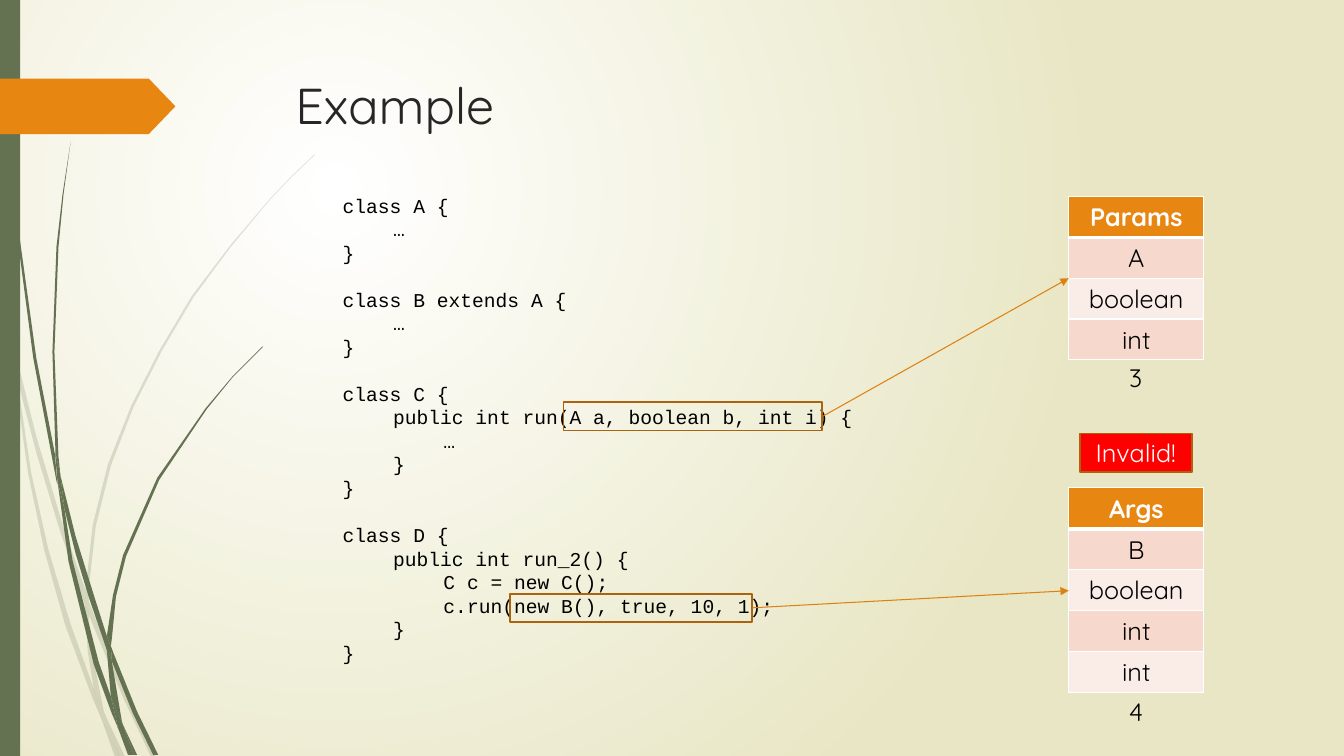
import lxml.etree
import pptx
import pptx.dml.color
import pptx.enum.shapes
import pptx.enum.text
import pptx.oxml.ns
import pptx.util

Inches, Pt = pptx.util.Inches, pptx.util.Pt
qn = pptx.oxml.ns.qn
RECTANGLE = pptx.enum.shapes.MSO_SHAPE.RECTANGLE
CENTER = pptx.enum.text.PP_ALIGN.CENTER

GREEN, ORANGE, BROWN, RED = "647252", "E78712", "AB640D", "FF0000"
WHITE, BLACK = "FFFFFF", "000000"
BANDS = ["F6D9CC", "FAEDE7"]
CODE_LINE = 16.8

PALE_GRASS = [
    [(0.11, 3.5), (0.09, 3.22), (0, 2.82), (0, 2.99), (0.1, 3.44)],
    [(0.58, 5.22), (0.84, 5.99), (0.85, 5.86), (0.62, 5.2), (0.36, 4.33), (0.14, 3.45),
     (0.17, 3.76), (0.36, 4.49)],
    [(0.92, 6.07), (0.88, 5.96), (0.88, 6.1), (1.23, 6.94), (1.5, 7.51), (1.55, 7.51), (1.27, 6.92)],
    [(1.19, 7.51), (1.24, 7.51), (1.05, 7.11)],
    [(0.93, 6.83), (0.7, 6.19), (0.48, 5.45), (0.31, 4.69), (0.17, 3.76), (0.11, 3.5), (0.28, 4.7),
     (0.44, 5.46), (0.65, 6.21), (0.92, 6.93), (1.01, 7.14), (0.99, 7.07)],
    [(0.84, 5.99), (0.87, 6.46), (0.93, 6.83), (0.96, 6.92), (1.05, 7.11), (1.03, 7.06),
     (0.91, 6.46), (0.88, 6.1), (0.88, 6.08)],
    [(0.88, 5.84), (0.95, 5.22), (1.1, 4.62), (1.32, 4.05), (1.6, 3.49), (1.92, 2.95), (2.29, 2.45),
     (2.68, 1.98), (2.9, 1.75), (3.12, 1.54), (3.12, 1.53), (2.89, 1.75), (2.68, 1.97),
     (2.28, 2.44), (1.9, 2.94), (1.58, 3.48), (1.3, 4.03), (1.07, 4.61), (0.92, 5.21),
     (0.85, 5.84), (0.85, 5.86), (0.88, 5.96)],
    [(1.01, 7.14), (1.14, 7.51), (1.19, 7.51)],
    [(0.88, 6.08), (0.88, 6.1), (0.88, 5.96), (0.85, 5.86), (0.84, 5.99)],
    [(0.96, 6.92), (0.93, 6.83), (0.99, 7.07), (1.01, 7.14), (1.19, 7.51), (1.05, 7.11)],
]
DARK_GRASS = [
    [(0.07, 1.1), (0.17, 2.33), (0.33, 3.55), (0.56, 4.77), (0.57, 4.81), (0.55, 4.57), (0.55, 4.53),
     (0.36, 3.55), (0.19, 2.32), (0.08, 1.09), (0.05, 0.48), (0.04, 0), (0.03, 0), (0.04, 0.48)],
    [(0.88, 5.92), (1.06, 6.45), (1.06, 6.33), (1.06, 6.31), (0.93, 5.9), (0.75, 5.32), (0.6, 4.72),
     (0.64, 5.05), (0.75, 5.49)],
    [(1.13, 6.49), (1.1, 6.41), (1.11, 6.56), (1.32, 7.08), (1.52, 7.49), (1.57, 7.49), (1.36, 7.06)],
    [(1.1, 6.91), (0.98, 6.57), (0.72, 5.56), (0.64, 5.05), (0.57, 4.77), (0.68, 5.57), (0.93, 6.59),
     (1.11, 7.08), (1.17, 7.22), (1.16, 7.17)],
    [(0.6, 4.72), (0.58, 4.53), (0.54, 3.49), (0.58, 2.45), (0.63, 1.93), (0.7, 1.41), (0.62, 1.93),
     (0.56, 2.45), (0.52, 3.49), (0.55, 4.49)],
    [(1.33, 7.49), (1.36, 7.49), (1.22, 7.19)],
    [(0.57, 4.77), (0.64, 5.05), (0.6, 4.72), (0.55, 4.49), (0.55, 4.53)],
    [(1.11, 6.33), (1.15, 5.92), (1.25, 5.52), (1.58, 4.76), (2.05, 4.06), (2.31, 3.74), (2.61, 3.44),
     (2.6, 3.44), (2.31, 3.73), (2.04, 4.05), (1.56, 4.74), (1.22, 5.51), (1.12, 5.91),
     (1.06, 6.31), (1.1, 6.41)],
    [(1.17, 7.22), (1.27, 7.49), (1.31, 7.49)],
    [(1.06, 6.45), (1.1, 6.91), (1.16, 7.06), (1.22, 7.19), (1.21, 7.16), (1.11, 6.56), (1.09, 6.51)],
    [(1.06, 6.45), (1.09, 6.51), (1.11, 6.56), (1.1, 6.41), (1.06, 6.31), (1.06, 6.33)],
    [(1.16, 7.06), (1.1, 6.91), (1.16, 7.17), (1.17, 7.22), (1.3, 7.49), (1.33, 7.49), (1.22, 7.19)],
]
CODE_BLOCKS = [
    ["class A {", "\t…", "}"],
    ["class B extends A {", "\t…", "}"],
    ["class C {", "\tpublic int run(A a, boolean b, int i) {", "\t\t…", "\t}", "}"],
    ["class D {", "\tpublic int run_2() {", "\t\tC c = new C();",
     "\t\tc.run(new B(), true, 10, 1);", "\t}", "}"],
]


def color(value):
    """Turn a hex string into a colour."""
    return pptx.dml.color.RGBColor.from_string(value)


def add_xml(parent, tag, **attributes):
    """Append a drawing element and return it."""
    return lxml.etree.SubElement(parent, qn(tag), attributes)


def write(frame, text, size, value=BLACK, font="Quicksand", bold=False, align=None):
    """Put formatted text into a text frame."""
    frame.text = text
    for paragraph in frame.paragraphs:
        paragraph.alignment = align
        for run in paragraph.runs:
            run.font.name, run.font.size, run.font.bold = font, Pt(size), bold
            run.font.color.rgb = color(value)


def style_shape(shape, fill=None, line=None):
    """Set fill and outline and drop the shadow."""
    shape.shadow.inherit = False
    for part, value in ((shape.fill, fill), (shape.line.fill, line)):
        if value:
            part.solid()
            part.fore_color.rgb = color(value)
        else:
            part.background()
    if line:
        shape.line.width = Pt(1.25)


def add_box(slide, area, fill=None, line=None, kind=RECTANGLE):
    """Add a preset shape."""
    shape = slide.shapes.add_shape(kind, *map(Inches, area))
    style_shape(shape, fill, line)
    return shape


def add_label(slide, area, text, size, value=BLACK, font="Quicksand", wrap=False):
    """Add a text box and return its frame."""
    frame = slide.shapes.add_textbox(*map(Inches, area)).text_frame
    frame.word_wrap = wrap
    write(frame, text, size, value, font)
    return frame


def add_grass(slide, pieces, opacity):
    """Draw the pieces of a tuft of grass."""
    for piece in pieces:
        points = [(Inches(x), Inches(y)) for x, y in piece]
        builder = slide.shapes.build_freeform(*points[0])
        builder.add_line_segments(points[1:], close=True)
        shape = builder.convert_to_shape()
        style_shape(shape, GREEN)
        if opacity < 100:
            fill_color = shape._element.spPr.find(".//" + qn("a:srgbClr"))
            add_xml(fill_color, "a:alpha", val=str(opacity * 1000))


def add_arrow(slide, start, end):
    """Add a straight arrow."""
    connector = slide.shapes.add_connector(
        pptx.enum.shapes.MSO_CONNECTOR.STRAIGHT, *map(Inches, start + end))
    connector.line.color.rgb = color("DD8111")
    connector.line.width = Pt(0.75)
    add_xml(connector.line._get_or_add_ln(), "a:tailEnd", type="triangle")
    add_xml(connector._element.spPr, "a:effectLst")


def add_type_table(slide, top, height, rows):
    """Add a one-column table with a header row and white borders."""
    area = map(Inches, (10.6, top, 1.34, height))
    table = slide.shapes.add_table(len(rows), 1, *area).table
    for index, text in enumerate(rows):
        header = index == 0
        cell = table.cell(index, 0)
        for side in "LRTB":
            width = 3 if header and side == "B" else 1
            line = add_xml(cell._tc.get_or_add_tcPr(), f"a:ln{side}", w=str(Pt(width)))
            add_xml(add_xml(line, "a:solidFill"), "a:srgbClr", val=WHITE)
        cell.fill.solid()
        cell.fill.fore_color.rgb = color(ORANGE if header else BANDS[(index - 1) % 2])
        write(cell.text_frame, text, 18, WHITE if header else BLACK, bold=header, align=CENTER)


def add_code(slide):
    """Add the code listing with tab stops every half inch."""
    text = "\n".join(line for block in CODE_BLOCKS for line in block)
    frame = add_label(slide, (3.3, 1.87, 5.29, 4.81), text, 14, font="Courier New")
    for index, paragraph in enumerate(frame.paragraphs):
        paragraph.line_spacing = Pt(CODE_LINE)
        if index and paragraph.text.startswith("class"):
            paragraph.space_before = Pt(CODE_LINE)
        tabs = add_xml(paragraph._p.get_or_add_pPr(), "a:tabLst")
        for stop in (0.5, 1):
            add_xml(tabs, "a:tab", pos=str(Inches(stop)), algn="l")


def set_background(slide):
    """Fill the background with a radial gradient."""
    fill = slide.background.fill
    fill.gradient()
    for stop, value in zip(fill.gradient_stops, [WHITE, "E8E6C4"]):
        stop.color.rgb = color(value)
    gradient = slide._element.find(".//" + qn("a:gradFill"))
    gradient.remove(gradient.find(qn("a:lin")))
    radial = add_xml(gradient, "a:path", path="circle")
    add_xml(radial, "a:fillToRect", l="50000", t="50000", r="100000", b="100000")


def main():
    """Build the slide and save it."""
    presentation = pptx.Presentation()
    presentation.slide_width, presentation.slide_height = Inches(13.33), Inches(7.5)
    slide = presentation.slides.add_slide(presentation.slide_layouts[6])
    set_background(slide)
    add_grass(slide, PALE_GRASS, 20)
    add_grass(slide, DARK_GRASS, 100)
    add_box(slide, (0, 0, 0.2, 7.5), GREEN)
    marker = add_box(slide, (0, 0.78, 1.74, 0.55), ORANGE, kind=pptx.enum.shapes.MSO_SHAPE.PENTAGON)
    marker.adjustments[0] = 0.48
    add_label(slide, (2.83, 0.69, 9.75, 1.4), "Example", 36, "262626", wrap=True)
    add_code(slide)
    add_box(slide, (5.59, 3.99, 2.56, 0.28), line=BROWN)
    add_type_table(slide, 1.95, 1.62, ["Params", "A", "boolean", "int"])
    add_arrow(slide, (8.16, 4.13), (10.6, 2.76))
    add_box(slide, (5.06, 5.89, 2.4, 0.28), line=BROWN)
    add_type_table(slide, 4.84, 2.03, ["Args", "B", "boolean", "int", "int"])
    add_arrow(slide, (7.46, 6.03), (10.6, 5.86))
    add_label(slide, (11.1, 3.55, 0.34, 0.4), "3", 18)
    add_label(slide, (11.1, 6.86, 0.34, 0.4), "4", 18)
    verdict = add_box(slide, (10.71, 4.3, 1.11, 0.38), RED, BROWN)
    verdict.text_frame.word_wrap = False
    write(verdict.text_frame, "Invalid!", 18, WHITE, align=CENTER)
    presentation.save("out.pptx")


if __name__ == "__main__":
    main()
